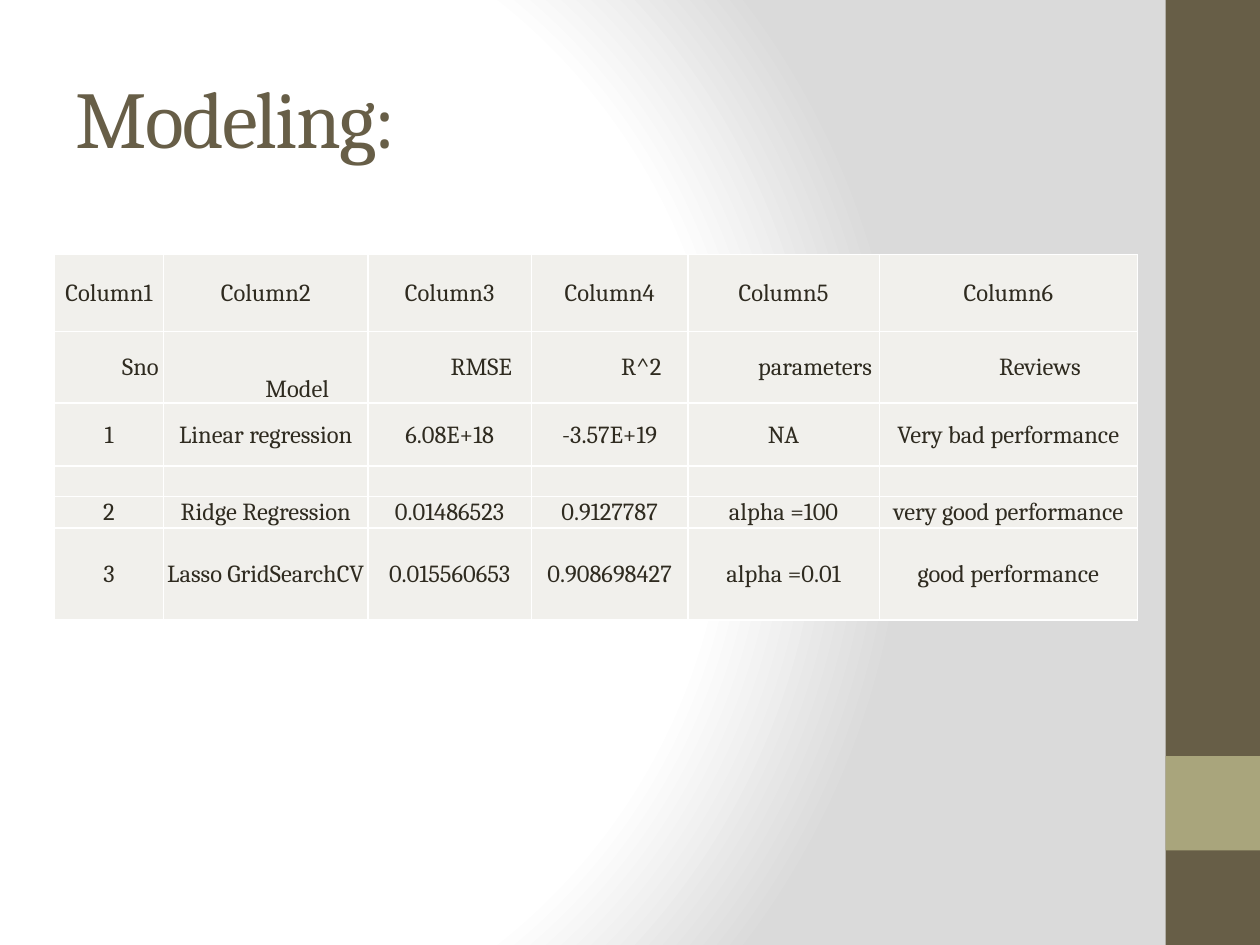
from lxml import etree
from pptx import Presentation, util as u
from pptx.dml.color import RGBColor
from pptx.enum import shapes, text
from pptx.oxml import parse_xml
from pptx.oxml.ns import qn

A_NS = "http://schemas.openxmlformats.org/drawingml/2006/main"
FONT = "Cambria"


def paint(fill, color):
    fill.solid()
    fill.fore_color.rgb = RGBColor.from_string(color)


def style(font, size, color):
    font.name, font.size = FONT, u.Pt(size)
    font.color.rgb = RGBColor.from_string(color)


deck = Presentation()
deck.slide_width, deck.slide_height = u.Inches(10), u.Inches(7.5)
slide = deck.slides.add_slide(deck.slide_layouts[5])

# Background: white glow fading to grey on the right
paint(slide.background.fill, "FFFFFF")
backdrop = slide.background._cSld.bg.bgPr
stops = "".join(
    f'<a:gs pos="{share * 1000}"><a:srgbClr val="{color}"/></a:gs>'
    for share, color in [(0, "FFFFFF"), (75, "FFFFFF"), (100, "DADADA")])
backdrop.replace(backdrop[0], parse_xml(
    f'<a:gradFill xmlns:a="{A_NS}" rotWithShape="1"><a:gsLst>{stops}</a:gsLst>'
    '<a:path path="circle"><a:fillToRect l="20000" t="50000" r="100000" b="50000"/>'
    '</a:path></a:gradFill>'))

# Side band and its accent square
band = u.Inches(0.75)
for top, height, color in [(0, deck.slide_height, "675E47"), (8 * band, band, "A9A57C")]:
    block = slide.shapes.add_shape(
        shapes.MSO_SHAPE.RECTANGLE, deck.slide_width - band, top, band, height)
    block.shadow.inherit = False
    paint(block.fill, color)
    block.line.fill.background()

# Title
title = slide.shapes.title
title.left, title.top = u.Inches(0.5), u.Inches(0.3)
title.width, title.height = u.Inches(8.33), u.Inches(1.25)
title.text_frame.text = "Modeling:"
title.text_frame.vertical_anchor = text.MSO_ANCHOR.MIDDLE
heading = title.text_frame.paragraphs[0]
heading.alignment = text.PP_ALIGN.LEFT
style(heading.font, 46, "675E47")
heading.runs[0].font._element.set("spc", "-100")

# Model comparison table
results = [
    [f"Column{n}" for n in range(1, 7)],
    ["Sno", "Model", "RMSE", "R^2", "parameters", "Reviews"],
    ["1", "Linear regression", "6.08E+18", "-3.57E+19", "NA", "Very bad performance"],
    [""] * 6,
    ["2", "Ridge Regression", "0.01486523", "0.9127787", "alpha =100",
     "very good performance"],
    ["3", "Lasso GridSearchCV", "0.015560653", "0.908698427", "alpha =0.01",
     "good performance"],
]
widths = [0.87, 1.62, 1.3, 1.24, 1.52, 2.05]
heights = [0.61, 0.57, 0.5, 0.24, 0.25, 0.73]
table = slide.shapes.add_table(
    len(heights), len(widths), u.Inches(0.43), u.Inches(2.02),
    u.Inches(sum(widths)), u.Inches(sum(heights))).table
for column, width in zip(table.columns, widths):
    column.width = u.Inches(width)
for row, height in zip(table.rows, heights):
    row.height = u.Inches(height)

for r, record in enumerate(results):
    for c, value in enumerate(record):
        cell = table.cell(r, c)
        cell.text = value
        cell.vertical_anchor = text.MSO_ANCHOR.MIDDLE
        cell.margin_left = cell.margin_right = cell.margin_top = u.Inches(0.01)
        cell.margin_bottom = 0
        entry = cell.text_frame.paragraphs[0]
        entry.alignment = text.PP_ALIGN.CENTER
        style(entry.font, 14, "2F2B20")
        # The field names are indented one level
        if r == 1:
            entry.level = 1
            entry._p.get_or_add_pPr().set("marL", str(u.Inches(0.5)))
            if value == "Model":
                entry.line_spacing = 1.5
                cell.vertical_anchor = text.MSO_ANCHOR.BOTTOM
        # White borders go ahead of the fill
        for side in ("lnL", "lnR", "lnT", "lnB"):
            border = etree.SubElement(cell._tc.tcPr, qn(f"a:{side}"), w=str(u.Pt(1)))
            ink = etree.SubElement(border, qn("a:solidFill"))
            etree.SubElement(ink, qn("a:srgbClr"), val="FFFFFF")
        paint(cell.fill, "F1F0EC")

deck.save("out.pptx")
